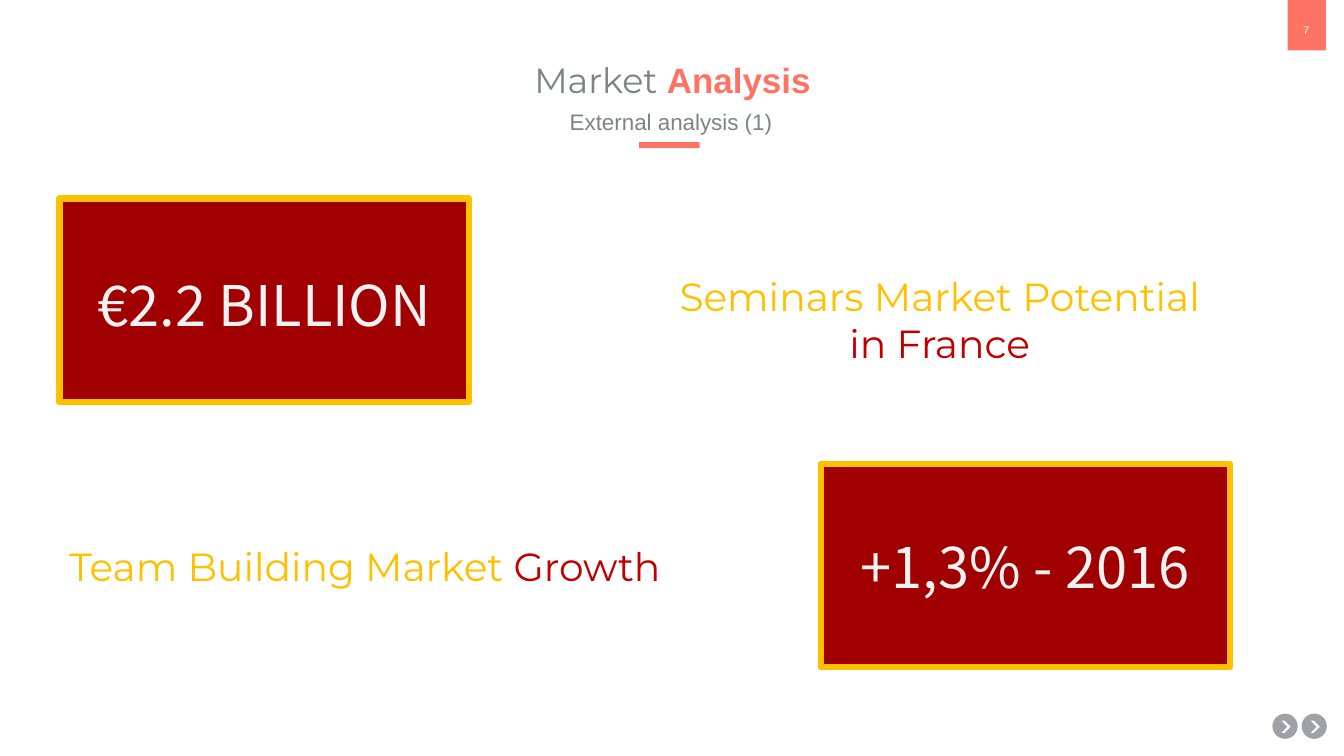
from pptx import Presentation
from pptx import util as u
from pptx.dml.color import RGBColor
from pptx.enum import shapes, text

PX = 9144
CORAL, GREY, WHITE = "FF7364", "7D8287", "FFFFFF"
GOLD, RED, DARK_RED = "FFC000", "C00000", "A00000"
CENTER, LEFT = text.PP_ALIGN.CENTER, text.PP_ALIGN.LEFT
TOP, MIDDLE = text.MSO_ANCHOR.TOP, text.MSO_ANCHOR.MIDDLE
SHAPE = shapes.MSO_SHAPE


def px(*lengths):
    return [u.Emu(n * PX) for n in lengths]


def color(hex_string):
    return RGBColor.from_string(hex_string)


def add_block(s, kind, box, fill, line=None, width=1):
    sp = s.shapes.add_shape(kind, *px(*box))
    sp.shadow.inherit = False
    sp.fill.solid()
    sp.fill.fore_color.rgb = color(fill)
    if line:
        sp.line.color.rgb = color(line)
        sp.line.width = u.Pt(width)
    else:
        sp.line.fill.background()
    return sp


def write(sp, paragraphs, size, align=CENTER, anchor=TOP, spacing=None):
    tf = sp.text_frame
    tf.word_wrap = True
    tf.auto_size = text.MSO_AUTO_SIZE.NONE
    tf.vertical_anchor = anchor
    for i, runs in enumerate(paragraphs):
        p = tf.add_paragraph() if i else tf.paragraphs[0]
        p.alignment = align
        if spacing:
            p.line_spacing = spacing
        for words, font, hue, bold in runs:
            r = p.add_run()
            r.text = words
            r.font.name = font
            r.font.size = u.Pt(size)
            r.font.bold = bold
            r.font.color.rgb = color(hue)


def add_text(s, box, paragraphs, size, **fmt):
    write(s.shapes.add_textbox(*px(*box)), paragraphs, size, **fmt)


def add_header(s, box):
    x, y, w, h = box
    title = s.shapes.title
    title.left, title.top, title.width, title.height = px(x, y, w, h)
    write(title, [[("Market ", "Montserrat", GREY, False),
                   ("Analysis", "Arial", CORAL, True)]],
          25, anchor=MIDDLE, spacing=0.9)
    add_text(s, (x + 179, y + 48, 789, 37),
             [[("External analysis (1)", "Arial", GREY, False)]],
             16, anchor=MIDDLE)
    add_block(s, SHAPE.RECTANGLE, (x + 542, y + 87, 60, 6), CORAL)


def add_page_tab(s, box):
    x, y, w, h = box
    add_block(s, SHAPE.RECTANGLE, box, CORAL)
    add_text(s, (x - 5, y + 22, w + 9, 21),
             [[("7", "Arial", "FEFEFE", False)]], 8, anchor=MIDDLE)


def add_arrow_button(s, box):
    x, y, w, h = box
    add_block(s, SHAPE.OVAL, box, "9EA1A5")
    chevron = add_block(s, SHAPE.CHEVRON, (x + 9, y + 7, 9, 12), WHITE)
    chevron.adjustments[0] = 0.66


def add_figure(s, box, words, text_top):
    x, y, w, h = box
    add_block(s, SHAPE.RECTANGLE, box, DARK_RED, GOLD, 4.5)
    add_text(s, (x + 21, y + text_top, w - 42, 77),
             [[(words, "Noto Sans CJK SC", "F2F2F2", False)]], 40)


def add_caption(s, box, paragraphs, align):
    add_text(s, box, [[(words, "Montserrat", hue, False) for words, hue in runs]
                      for runs in paragraphs], 28, align=align)


def main():
    prs = Presentation()
    prs.slide_width, prs.slide_height = px(1333, 750)
    s = prs.slides.add_slide(prs.slide_layouts[5])
    add_page_tab(s, (1277, -3, 38, 53))
    for x in (1262, 1291):
        add_arrow_button(s, (x, 708, 25, 25))
    add_header(s, (92, 54, 1150, 55))
    add_figure(s, (59, 197, 406, 202), "€2.2 BILLION", 66)
    add_caption(s, (466, 265, 932, 104),
                [[("Seminars Market Potential", GOLD)], [("in France", RED)]], CENTER)
    add_figure(s, (814, 460, 406, 202), "+1,3% - 2016", 63)
    add_caption(s, (59, 533, 714, 57),
                [[("Team Building Market ", GOLD), ("Growth", RED)]], LEFT)
    prs.save("out.pptx")


if __name__ == "__main__":
    main()
